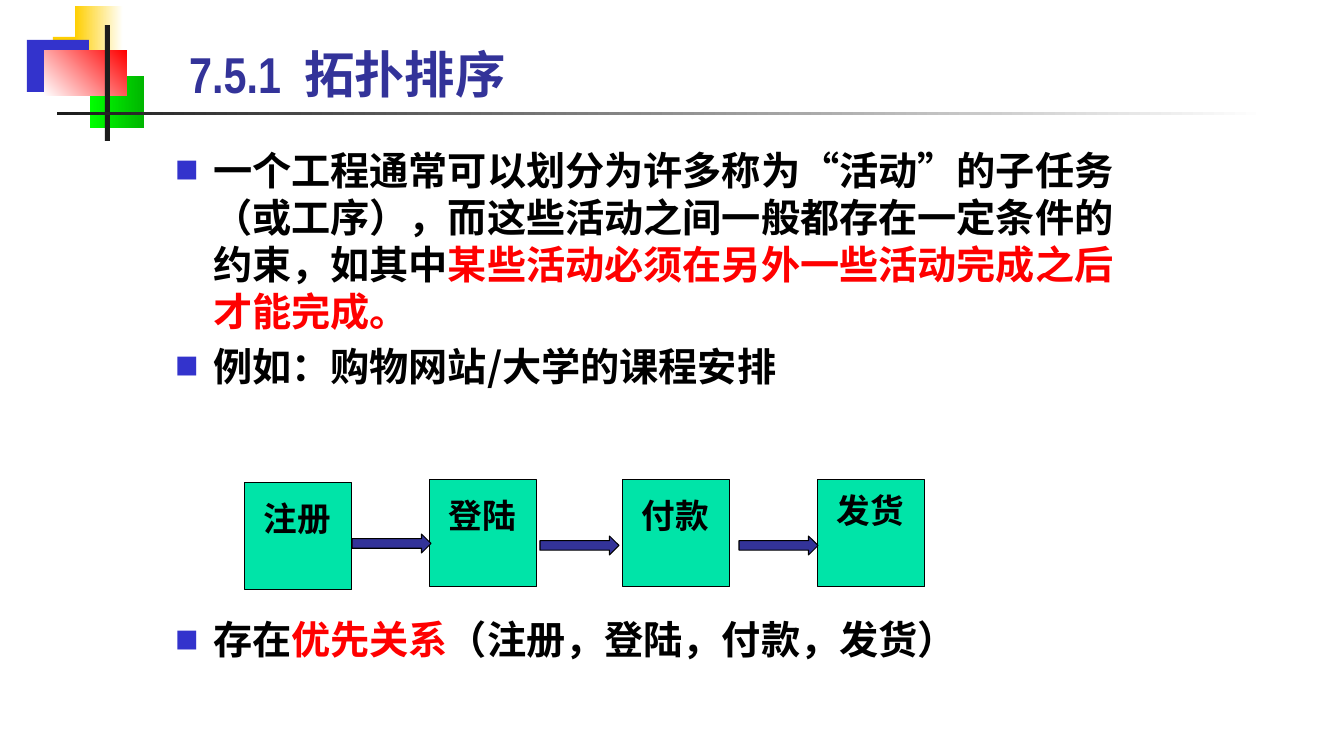
from lxml.etree import SubElement
from pptx import Presentation
from pptx.dml.color import RGBColor
from pptx.enum.shapes import MSO_SHAPE
from pptx.enum.text import MSO_ANCHOR, MSO_AUTO_SIZE, PP_ALIGN
from pptx.oxml.ns import qn
from pptx.util import Emu, Pt

BLACK = RGBColor(0x00, 0x00, 0x00)
WHITE = RGBColor(0xFF, 0xFF, 0xFF)
RED = RGBColor(0xFF, 0x00, 0x00)
NAVY = RGBColor(0x33, 0x33, 0x99)
BLUE = RGBColor(0x33, 0x33, 0xCC)
GOLD = RGBColor(0xFF, 0xCF, 0x01)
LIME = RGBColor(0x00, 0xFF, 0x00)
GREEN = RGBColor(0x00, 0xB6, 0x00)
MINT = RGBColor(0x00, 0xE4, 0xA8)
CHARCOAL = RGBColor(0x1C, 0x1C, 0x1C)
HAN_FONT = "Noto Sans CJK SC"
TITLE_FONT = "Arial Narrow"

# Content; places are left, top, width, height in px
TITLE = "7.5.1  拓扑排序"
TITLE_PLACE = (179, 25, 1145, 84)
BODY_PLACE = (165, 137, 978, 275)

# Space before in points, then (text, colour) spans
BULLETS = [
    (0, [("一个工程通常可以划分为许多称为“活动”的子任务（或工序），"
          "而这些活动之间一般都存在一定条件的约束，如其中", BLACK),
         ("某些活动必须在另外一些活动完成之后才能完成。", RED)]),
    (5.6, [("例如：购物网站/大学的课程安排", BLACK)]),
    (162, [("存在", BLACK), ("优先关系", RED),
           ("（注册，登陆，付款，发货）", BLACK)]),
]

# Place, colours (two make a gradient), gradient angle
ORNAMENTS = [
    ((53, 37, 65, 52), (GOLD,), 0),
    ((75, 6, 48, 52), (GOLD, WHITE), 0),
    ((27, 40, 62, 52), (BLUE,), 0),
    ((90, 76, 54, 52), (LIME, GREEN), 0),
    ((44, 50, 83, 46), (WHITE, RED), 45),
    ((105, 25, 5, 116), (CHARCOAL,), 0),
    ((57, 112, 1210, 3), (CHARCOAL, WHITE), 0),
]

# Label, box left, box top, label drop below the box top
STEPS = [
    ("注册", 245, 483, 7),
    ("登陆", 430, 480, 7),
    ("付款", 623, 480, 7),
    ("发货", 818, 480, 2),
]
STEP_SIDE = 107
LABEL_INDENT, LABEL_WIDTH, LABEL_HEIGHT = 9, 118, 92
ARROWS = [(352, 534), (540, 536), (739, 536)]
ARROW_WIDTH, ARROW_HEIGHT = 79, 19


def px(value):
    return Emu(round(value * 914400 / 100.8))


def add_span(paragraph, text, size=28, color=BLACK, font=HAN_FONT):
    span = paragraph.add_run()
    span.text = text
    span.font.size = Pt(size)
    span.font.bold = True
    span.font.name = font
    span.font.color.rgb = color
    east_asian = SubElement(span.font._element, qn("a:ea"))
    east_asian.set("typeface", HAN_FONT)


def add_bullet(paragraph):
    properties = paragraph._p.get_or_add_pPr()
    properties.set("marL", str(px(38)))
    properties.set("indent", str(-px(38)))
    color = SubElement(properties, qn("a:buClr"))
    SubElement(color, qn("a:srgbClr")).set("val", str(BLUE))
    SubElement(properties, qn("a:buSzPct")).set("val", "60000")
    SubElement(properties, qn("a:buFont")).set("typeface", HAN_FONT)
    SubElement(properties, qn("a:buChar")).set("char", "■")


def add_block(page, place, colors, angle=0, kind=MSO_SHAPE.RECTANGLE,
              outlined=False):
    block = page.shapes.add_shape(kind, *map(px, place))
    block.shadow.inherit = False
    if len(colors) == 1:
        block.fill.solid()
        block.fill.fore_color.rgb = colors[0]
    else:
        block.fill.gradient()
        block.fill.gradient_angle = angle
        for stop, color in zip(block.fill.gradient_stops, colors):
            stop.color.rgb = color
    if outlined:
        block.line.color.rgb = BLACK
        block.line.width = Pt(0.75)
    else:
        block.line.fill.background()


def place_text(box, place, anchor=MSO_ANCHOR.TOP):
    box.left, box.top, box.width, box.height = map(px, place)
    frame = box.text_frame
    frame.word_wrap = True
    frame.auto_size = MSO_AUTO_SIZE.NONE
    frame.vertical_anchor = anchor
    return frame


def main():
    deck = Presentation()
    deck.slide_width, deck.slide_height = px(1344), px(756)
    page = deck.slides.add_slide(deck.slide_layouts[1])
    title, body = page.placeholders

    # Corner ornament and rule, behind the text
    for place, colors, angle in ORNAMENTS:
        add_block(page, place, colors, angle)
    for holder in (title, body):
        holder.element.getparent().append(holder.element)

    # Title
    heading = place_text(title, TITLE_PLACE, MSO_ANCHOR.BOTTOM).paragraphs[0]
    heading.alignment = PP_ALIGN.LEFT
    add_span(heading, TITLE, size=36, color=NAVY, font=TITLE_FONT)

    # Bulleted list
    frame = place_text(body, BODY_PLACE)
    frame.margin_top = px(9)
    for index, (gap, spans) in enumerate(BULLETS):
        paragraph = frame.add_paragraph() if index else frame.paragraphs[0]
        add_bullet(paragraph)
        paragraph.space_before = Pt(gap)
        paragraph.line_spacing = Pt(33.6)
        for text, color in spans:
            add_span(paragraph, text, color=color)

    # Order steps
    for label, left, top, drop in STEPS:
        add_block(page, (left, top, STEP_SIDE, STEP_SIDE), (MINT,),
                  outlined=True)
        place = (left + LABEL_INDENT, top + drop, LABEL_WIDTH, LABEL_HEIGHT)
        box = page.shapes.add_textbox(*map(px, place))
        paragraph = place_text(box, place).paragraphs[0]
        paragraph.line_spacing = Pt(31)
        add_span(paragraph, label, size=24)

    # Arrows between the steps
    for left, top in ARROWS:
        add_block(page, (left, top, ARROW_WIDTH, ARROW_HEIGHT), (NAVY,),
                  kind=MSO_SHAPE.RIGHT_ARROW, outlined=True)

    deck.save("out.pptx")


if __name__ == "__main__":
    main()
